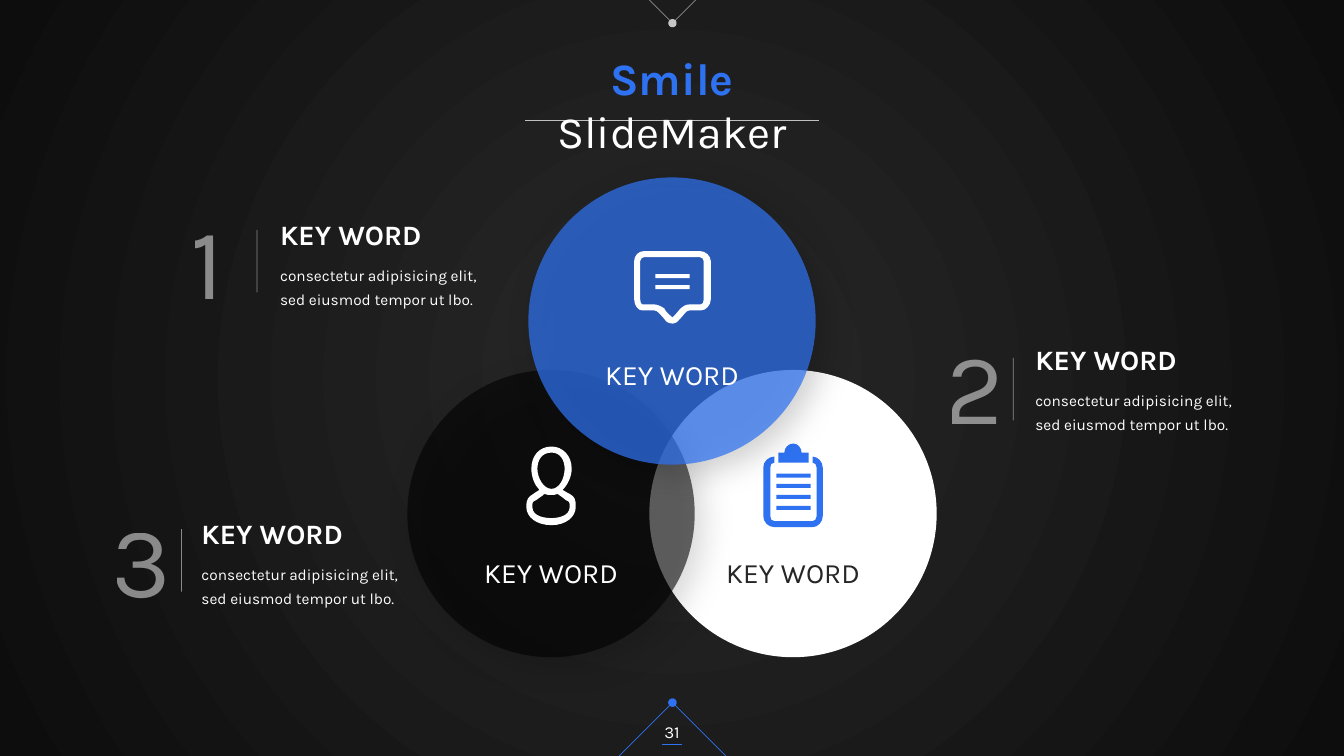
from lxml.etree import SubElement
from pptx import Presentation
from pptx.dml.color import RGBColor
from pptx.enum.shapes import MSO_CONNECTOR, MSO_SHAPE
from pptx.enum.text import MSO_ANCHOR, MSO_AUTO_SIZE, PP_ALIGN
from pptx.oxml import parse_xml
from pptx.oxml.ns import nsdecls, qn
from pptx.util import Inches, Pt

COLORS = {"white": "FFFFFF", "blue": "2E72F1", "black": "000000", "gray": "BFBFBF",
          "ink": "262626", "edge": "0D0D0D"}
FONT = "Karla"
WIDE, HIGH, DIAM = 13.33, 7.5, 2.85
KEY = "KEY WORD"
BODY = "consectetur adipisicing elit, sed eiusmod tempor ut lbo."
TITLE = [("Smile ", "blue", True), ("SlideMaker", "white", False)]

# number, left and top of heading, left and top of rule
ITEMS = [("1", 2.68, 2.11, 2.55, 2.28), ("2", 10.17, 3.35, 10.05, 3.55),
         ("3", 1.9, 5.07, 1.8, 5.25)]
# left, top, fill, opacity, shadow, label colour, label top
DISCS = [(6.44, 3.67, "white", 100, False, "ink", 5.46),
         (4.04, 3.67, "black", 58, True, "white", 5.46),
         (5.24, 1.76, "blue", 72, True, "white", 3.5)]
# start, end, colour, opacity, end that carries a dot
LINES = [((5.21, 1.19), (8.12, 1.19), "gray", 100, None),
         ((6.44, 0), (6.67, 0.23), "white", 50, "tailEnd"),
         ((6.67, 0.23), (6.9, 0), "white", 50, "headEnd"),
         ((7.2, 7.5), (6.67, 6.97), "blue", 100, "tailEnd"),
         ((6.67, 6.97), (6.14, 7.5), "blue", 100, "headEnd"),
         ((6.57, 7.38), (6.76, 7.38), "blue", 100, None)]

# Outlines: a pair is a corner, six numbers are a Bezier curve
PERSON = [
    [(5.65, 4.9), (5.63, 4.89, 5.61, 4.88, 5.58, 4.86), (5.63, 4.81, 5.67, 4.73, 5.67, 4.65),
     (5.67, 4.52, 5.58, 4.43, 5.47, 4.43), (5.35, 4.43, 5.27, 4.52, 5.27, 4.65),
     (5.27, 4.73, 5.3, 4.81, 5.35, 4.86), (5.32, 4.88, 5.3, 4.89, 5.29, 4.9),
     (5.24, 4.93, 5.22, 4.95, 5.22, 5.03), (5.22, 5.13, 5.32, 5.21, 5.47, 5.21),
     (5.61, 5.21, 5.71, 5.13, 5.71, 5.03), (5.71, 4.95, 5.7, 4.93, 5.65, 4.9)],
    [(5.33, 4.65), (5.33, 4.57, 5.37, 4.49, 5.47, 4.49), (5.56, 4.49, 5.6, 4.57, 5.6, 4.65),
     (5.6, 4.74, 5.55, 4.85, 5.47, 4.85), (5.39, 4.85, 5.33, 4.74, 5.33, 4.65)],
    [(5.47, 5.14), (5.42, 5.14, 5.28, 5.13, 5.28, 5.03), (5.28, 4.98, 5.28, 4.98, 5.32, 4.96),
     (5.34, 4.94, 5.37, 4.93, 5.4, 4.9), (5.42, 4.91, 5.44, 4.91, 5.47, 4.91),
     (5.49, 4.91, 5.51, 4.91, 5.53, 4.9), (5.57, 4.93, 5.59, 4.94, 5.61, 4.96),
     (5.65, 4.98, 5.65, 4.98, 5.65, 5.03), (5.65, 5.13, 5.51, 5.14, 5.47, 5.14)]]
BOARD = [
    [(8.06, 4.53), (8.06, 4.59), (8.08, 4.59, 8.1, 4.61, 8.1, 4.64), (8.1, 5.12),
     (8.1, 5.15, 8.08, 5.17, 8.06, 5.17), (7.68, 5.17), (7.65, 5.17, 7.64, 5.15, 7.64, 5.12),
     (7.64, 4.64), (7.64, 4.61, 7.65, 4.59, 7.68, 4.59), (7.68, 4.53),
     (7.62, 4.53, 7.57, 4.58, 7.57, 4.64), (7.57, 5.12), (7.57, 5.18, 7.62, 5.23, 7.68, 5.23),
     (8.06, 5.23), (8.11, 5.23, 8.16, 5.18, 8.16, 5.12), (8.16, 4.64),
     (8.16, 4.58, 8.11, 4.53, 8.06, 4.53)]]
CLIP = [
    [(8.02, 4.49), (7.95, 4.49), (7.95, 4.44, 7.91, 4.4, 7.87, 4.4),
     (7.82, 4.4, 7.78, 4.44, 7.78, 4.49), (7.72, 4.49), (7.72, 4.59), (8.02, 4.59)]]
BUBBLE = [
    [(6.94, 2.49), (6.39, 2.49), (6.33, 2.49, 6.29, 2.54, 6.29, 2.59), (6.29, 2.97),
     (6.29, 3.03, 6.33, 3.08, 6.37, 3.08), (6.49, 3.08), (6.5, 3.08, 6.53, 3.09, 6.53, 3.1),
     (6.54, 3.11, 6.58, 3.15, 6.61, 3.19), (6.62, 3.2, 6.65, 3.21, 6.67, 3.21),
     (6.69, 3.21, 6.71, 3.2, 6.72, 3.19), (6.76, 3.15, 6.79, 3.11, 6.8, 3.1),
     (6.81, 3.09, 6.82, 3.08, 6.84, 3.08), (6.95, 3.08), (7, 3.08, 7.05, 3.03, 7.05, 2.97),
     (7.05, 2.59), (7.05, 2.54, 7, 2.49, 6.94, 2.49)],
    [(6.98, 2.97), (6.98, 3, 6.97, 3.02, 6.95, 3.02), (6.84, 3.02),
     (6.8, 3.02, 6.77, 3.04, 6.75, 3.06), (6.74, 3.07, 6.71, 3.11, 6.68, 3.14),
     (6.68, 3.15, 6.67, 3.15, 6.67, 3.15), (6.66, 3.15, 6.66, 3.15, 6.66, 3.14),
     (6.62, 3.11, 6.59, 3.07, 6.59, 3.06), (6.56, 3.04, 6.52, 3.02, 6.49, 3.02),
     (6.37, 3.02), (6.36, 3.02, 6.35, 3, 6.35, 2.97), (6.35, 2.59),
     (6.35, 2.57, 6.37, 2.55, 6.39, 2.55), (6.94, 2.55),
     (6.96, 2.55, 6.98, 2.57, 6.98, 2.59)]]
# outlines, colour, left of bars, tops of bars, in the order of DISCS
ICONS = [([BOARD, CLIP], "blue", 7.7, [4.7, 4.8, 4.91, 5.02]),
         ([PERSON], "white", 0, []),
         ([BUBBLE], "white", 6.5, [2.72, 2.83])]

deck = Presentation()
deck.slide_width, deck.slide_height = Inches(WIDE), Inches(HIGH)
slide = deck.slides.add_slide(deck.slide_layouts[6])
shapes = slide.shapes


def tint(fill, color, alpha=100):
    fill.solid()
    fill.fore_color.rgb = RGBColor.from_string(COLORS[color])
    if alpha < 100:
        node = fill._xPr.find(qn("a:solidFill"))[0]
        SubElement(node, qn("a:alpha"), val=str(alpha * 1000))


def paint(shape, color, alpha=100):
    shape.shadow.inherit = False
    shape.line.fill.background()
    tint(shape.fill, color, alpha)
    return shape


def block(kind, *box):
    return shapes.add_shape(kind, *map(Inches, box))


def rule(start, end, color, alpha=100, dot=None):
    line = shapes.add_connector(MSO_CONNECTOR.STRAIGHT, *map(Inches, start + end))
    line.line.width = Pt(0.5)
    tint(line.line.fill, color, alpha)
    if dot:
        SubElement(line.line._get_or_add_ln(), qn("a:" + dot), type="oval")
    SubElement(line._element.spPr, qn("a:effectLst"))


def write(box, runs, size, align=PP_ALIGN.LEFT, wrap=True, alpha=100, space=None,
          anchor=MSO_ANCHOR.TOP, fit=MSO_AUTO_SIZE.SHAPE_TO_FIT_TEXT):
    """Add a text box of one paragraph; a run is text, colour, bold."""
    frame = shapes.add_textbox(*map(Inches, box)).text_frame
    for name, value in {"word_wrap": wrap, "auto_size": fit, "vertical_anchor": anchor}.items():
        setattr(frame, name, value)
    para = frame.paragraphs[0]
    para.alignment, para.line_spacing = align, space
    for text, color, bold in runs:
        run = para.add_run()
        run.text = text
        for name, value in {"name": FONT, "size": Pt(size), "bold": bold}.items():
            setattr(run.font, name, value)
        tint(run.font.fill, color, alpha)


def sketch(paths, color):
    """Build the outline from its corners, then bend the curved sides."""
    ends = [[tuple(map(Inches, step[-2:])) for step in path] for path in paths]
    pen = shapes.build_freeform(*ends[0][0])
    for order, points in enumerate(ends):
        if order:
            pen.move_to(*points[0])
        pen.add_line_segments(points[1:])
    shape = paint(pen.convert_to_shape(), color)
    steps = [step for path in paths for step in path[1:]]
    sides = list(shape._element.iter(qn("a:lnTo")))
    for step, side in zip(steps, sides):
        if len(step) == 6:
            bend = parse_xml(f'<a:cubicBezTo {nsdecls("a")}/>')
            for x, y in zip(step[::2], step[1::2]):
                SubElement(bend, qn("a:pt"), x=str(Inches(x) - shape.left),
                           y=str(Inches(y) - shape.top))
            side.getparent().replace(side, bend)


def shade(shape):
    glow = shape._element.spPr.find(qn("a:effectLst"))
    drop = SubElement(glow, qn("a:outerShdw"), blurRad=str(Pt(23)), dist=str(Pt(9)),
                      dir=str(45 * 60000), algn="tl", rotWithShape="0")
    tone = SubElement(drop, qn("a:srgbClr"), val=COLORS["black"])
    SubElement(tone, qn("a:alpha"), val="25000")


back = paint(block(MSO_SHAPE.RECTANGLE, 0, 0, WIDE, HIGH), "ink")
solid = back._element.spPr.find(qn("a:solidFill"))
solid.getparent().replace(solid, parse_xml(
    f'<a:gradFill {nsdecls("a")}><a:gsLst>'
    f'<a:gs pos="11000"><a:srgbClr val="{COLORS["ink"]}"/></a:gs>'
    f'<a:gs pos="100000"><a:srgbClr val="{COLORS["edge"]}"/></a:gs></a:gsLst>'
    '<a:path path="circle"><a:fillToRect l="50000" t="50000" r="50000" b="50000"/></a:path>'
    '</a:gradFill>'))

for line in LINES:
    rule(*line)

for (left, top, color, alpha, dark, ink, low), (drawn, hue, start, bars) in zip(DISCS, ICONS):
    disc = paint(block(MSO_SHAPE.OVAL, left, top, DIAM, DIAM), color, alpha)
    if dark:
        shade(disc)
    for paths in drawn:
        sketch(paths, hue)
    for bar in bars:
        paint(block(MSO_SHAPE.RECTANGLE, start, bar, 0.34, 0.04), hue)
    write((left + 0.45, low, 1.95, 0.44), [(KEY, ink, False)], 20, PP_ALIGN.CENTER)

write((4.81, 0.45, 3.71, 0.64), TITLE, 32, PP_ALIGN.CENTER)
write((6.32, 7.06, 0.69, 0.4), [("31", "white", False)], 12, PP_ALIGN.CENTER,
      anchor=MSO_ANCHOR.MIDDLE, fit=MSO_AUTO_SIZE.NONE)

for number, left, top, edge, head in ITEMS:
    write((left - 0.89, top - 0.19, 0.75, 1.31), [(number, "white", False)], 72,
          wrap=False, alpha=50)
    write((left, top + 0.43, 2.26, 0.6), [(BODY, "white", False)], 11, space=1.3)
    write((left, top, 2.26, 0.44), [(KEY, "white", True)], 20)
    rule((edge, head), (edge, head + 0.62), "white", 50)

deck.save("out.pptx")
